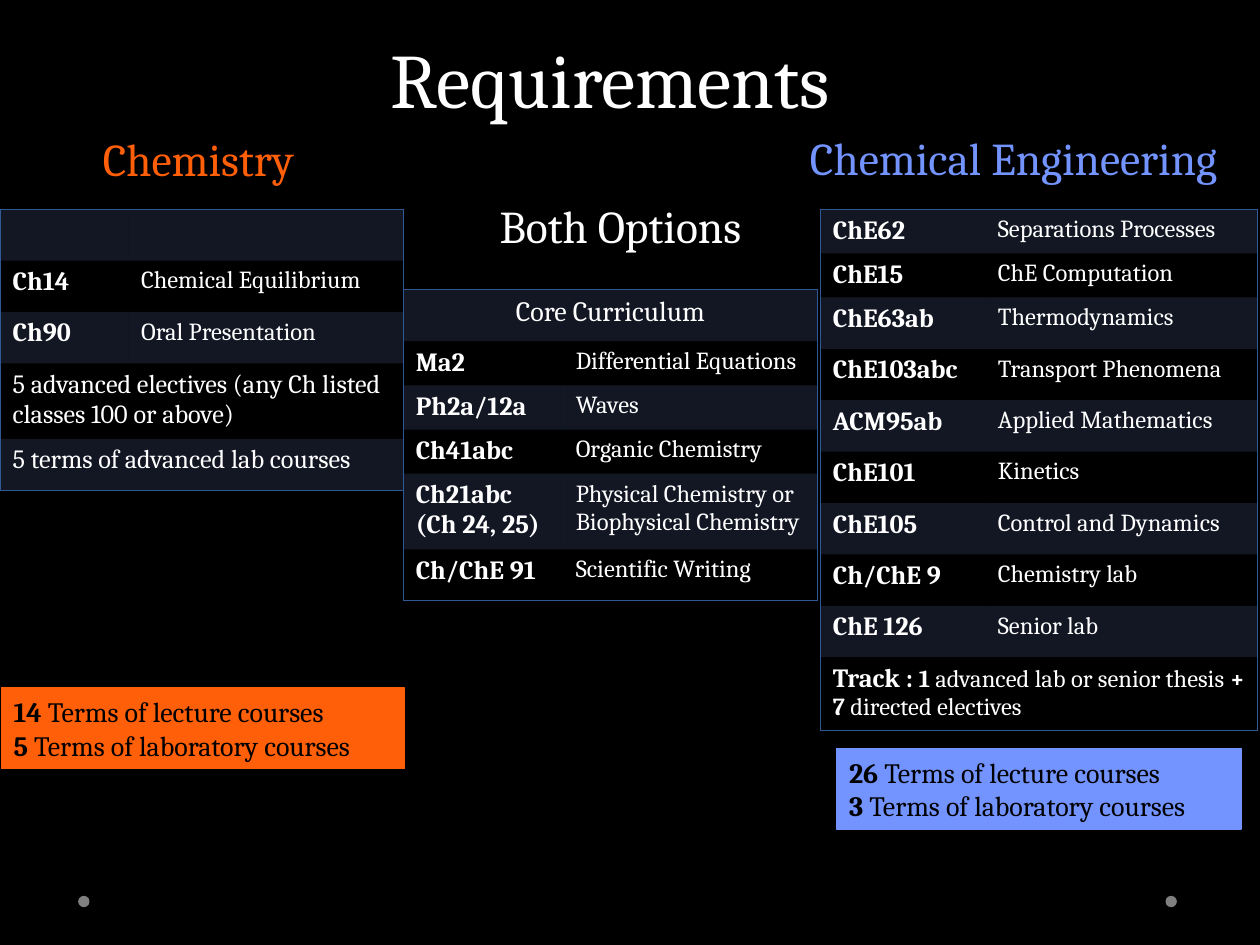
from lxml import etree
from pptx import Presentation
from pptx.dml.color import RGBColor
from pptx.enum.shapes import MSO_SHAPE
from pptx.enum.text import PP_ALIGN
from pptx.oxml.ns import qn
from pptx.util import Inches, Pt

RECTANGLE, OVAL = MSO_SHAPE.RECTANGLE, MSO_SHAPE.OVAL
LEFT, CENTER = PP_ALIGN.LEFT, PP_ALIGN.CENTER

BLACK = RGBColor(0x00, 0x00, 0x00)
WHITE = RGBColor(0xFF, 0xFF, 0xFF)
GRAY = RGBColor(0x80, 0x80, 0x80)
ORANGE = RGBColor(0xFF, 0x5F, 0x08)
BLUE = RGBColor(0x73, 0x94, 0xFF)
BAND = RGBColor(0x60, 0x76, 0xB4)
BORDER = RGBColor(0x2F, 0x58, 0x97)

FONT = "Cambria"
PLAIN_TABLE = "{2D5ABB26-0587-4C30-8999-92F81FD0307C}"
WIDTH, HEIGHT = Inches(10), Inches(7.5)

# Row heights and table tops, in percent of the slide's height
SHORT, ROW, TALL, DOUBLE = 4.67, 5.44, 7.78, 8
OUTER_TOP, MIDDLE_TOP = 22.13, 30.67

CHEMISTRY = [
    (ROW, "", ""),
    (ROW, "Ch14", "Chemical Equilibrium"),
    (ROW, "Ch90", "Oral Presentation"),
    (DOUBLE, [("5 advanced electives (any Ch listed classes 100 or above)", 15, False)]),
    (ROW, [("5 terms of advanced lab courses", 15, False)]),
]
BOTH = [
    (ROW, [("Core Curriculum", 16, False)]),
    (SHORT, "Ma2", "Differential Equations"),
    (SHORT, "Ph2a/12a", "Waves"),
    (SHORT, "Ch41abc", "Organic Chemistry"),
    (DOUBLE, "Ch21abc (Ch 24, 25)", "Physical Chemistry or Biophysical Chemistry"),
    (ROW, "Ch/ChE 91", "Scientific Writing"),
]
ENGINEERING = [
    (SHORT, "ChE62", "Separations Processes"),
    (SHORT, "ChE15", "ChE Computation"),
    (ROW, "ChE63ab", "Thermodynamics"),
    (ROW, "ChE103abc", "Transport Phenomena"),
    (ROW, "ACM95ab", "Applied Mathematics"),
    (ROW, "ChE101", "Kinetics"),
    (ROW, "ChE105", "Control and Dynamics"),
    (ROW, "Ch/ChE 9", "Chemistry lab"),
    (ROW, "ChE 126", "Senior lab"),
    (TALL, [("Track : ", 15, True), ("1", 14, True),
            (" advanced lab or senior thesis ", 14, False),
            ("+ 7", 14, True), (" directed electives", 14, False)]),
]


def across(percent):
    return round(WIDTH * percent / 100)


def down(percent):
    return round(HEIGHT * percent / 100)


def place(left, top, width, height):
    return across(left), down(top), across(width), down(height)


def write(para, spans, color, align=LEFT):
    """Fill a paragraph with (text, size, bold) spans."""
    para.alignment = align
    para.font.name = FONT
    para.font.color.rgb = color
    for text, size, bold in spans:
        span = para.add_run()
        span.text = text
        span.font.name = FONT
        span.font.color.rgb = color
        span.font.size = Pt(size)
        span.font.bold = bold


def add_heading(page, area, text, size, color, align=LEFT):
    box = page.shapes.add_textbox(*place(*area))
    box.text_frame.word_wrap = True
    write(box.text_frame.paragraphs[0], [(text, size, False)], color, align)


def add_solid(page, kind, area, color):
    shape = page.shapes.add_shape(kind, *place(*area))
    shape.shadow.inherit = False
    shape.fill.solid()
    shape.fill.fore_color.rgb = color
    shape.line.fill.background()
    return shape


def add_totals(page, area, color, lectures, labs):
    box = add_solid(page, RECTANGLE, area, color)
    box.line.color.rgb = color
    box.line.width = Pt(0.75)
    frame = box.text_frame
    frame.word_wrap = True
    for para, count, kind in ((frame.paragraphs[0], lectures, "lecture"),
                              (frame.add_paragraph(), labs, "laboratory")):
        write(para, [(count, 16, True), (f" Terms of {kind} courses", 16, False)], BLACK)


def add_borders(cell, sides):
    properties = cell._tc.get_or_add_tcPr()
    for side in sides:
        line = etree.SubElement(properties, qn(f"a:ln{side}"), w=str(Pt(0.75)))
        fill = etree.SubElement(line, qn("a:solidFill"))
        etree.SubElement(fill, qn("a:srgbClr"), val=str(BORDER))


def fill_cell(cell, banded):
    if not banded:
        cell.fill.background()
        return
    cell.fill.solid()
    cell.fill.fore_color.rgb = BAND
    color = cell._tc.tcPr.find(f"{qn('a:solidFill')}/{qn('a:srgbClr')}")
    etree.SubElement(color, qn("a:alpha"), val="20000")


def add_courses(page, left, top, widths, rows):
    """Banded table with an outer border; a one-entry row spans both columns."""
    area = place(left, top, sum(widths), sum(row[0] for row in rows))
    table = page.shapes.add_table(len(rows), 2, *area).table
    table._tbl.tblPr.find(qn("a:tableStyleId")).text = PLAIN_TABLE
    for column, width in zip(table.columns, widths):
        column.width = across(width)
    for index, (height, *entries) in enumerate(rows):
        table.rows[index].height = down(height)
        first, second = table.cell(index, 0), table.cell(index, 1)
        edges = "T" * (index == 0) + "B" * (index == len(rows) - 1)
        if len(entries) == 1:
            first.merge(second)
            add_borders(first, "LR" + edges)
            add_borders(second, "R" + edges)
            align = CENTER if index == 0 else LEFT
            write(first.text_frame.paragraphs[0], entries[0], WHITE, align)
        else:
            code, name = entries
            add_borders(first, "L" + edges)
            add_borders(second, "R" + edges)
            if code:
                write(first.text_frame.paragraphs[0], [(code, 15, True)], WHITE)
                write(second.text_frame.paragraphs[0], [(name, 14, False)], WHITE)
        for cell in (first, second):
            fill_cell(cell, index % 2 == 0)


def main():
    deck = Presentation()
    deck.slide_width, deck.slide_height = WIDTH, HEIGHT
    page = deck.slides.add_slide(deck.slide_layouts[6])
    page.background.fill.solid()
    page.background.fill.fore_color.rgb = BLACK

    # Corner dots
    for left in (6.2, 92.5):
        add_solid(page, OVAL, (left, 94.8, 0.9, 1.2), GRAY)

    # Title and column headings
    add_heading(page, (30, 2.67, 39.9, 11.2), "Requirements", 44, WHITE)
    add_heading(page, (1.5, 13.2, 28.5, 7.2), "Chemistry", 26, ORANGE, CENTER)
    add_heading(page, (63.3, 13.07, 42.5, 7.2), "Chemical Engineering", 26, BLUE)
    add_heading(page, (36.3, 20.27, 25.9, 7.2), "Both Options", 26, WHITE, CENTER)

    # Term totals
    add_totals(page, (66.4, 79.2, 32.1, 8.53), BLUE, "26", "3")
    add_totals(page, (0.1, 72.8, 32, 8.53), ORANGE, "14", "5")

    # Course tables
    add_courses(page, 0, OUTER_TOP, (10.2, 21.8), CHEMISTRY)
    add_courses(page, 32, MIDDLE_TOP, (12.7, 20.2), BOTH)
    add_courses(page, 65.1, OUTER_TOP, (13.1, 21.6), ENGINEERING)

    deck.save("out.pptx")


if __name__ == "__main__":
    main()
